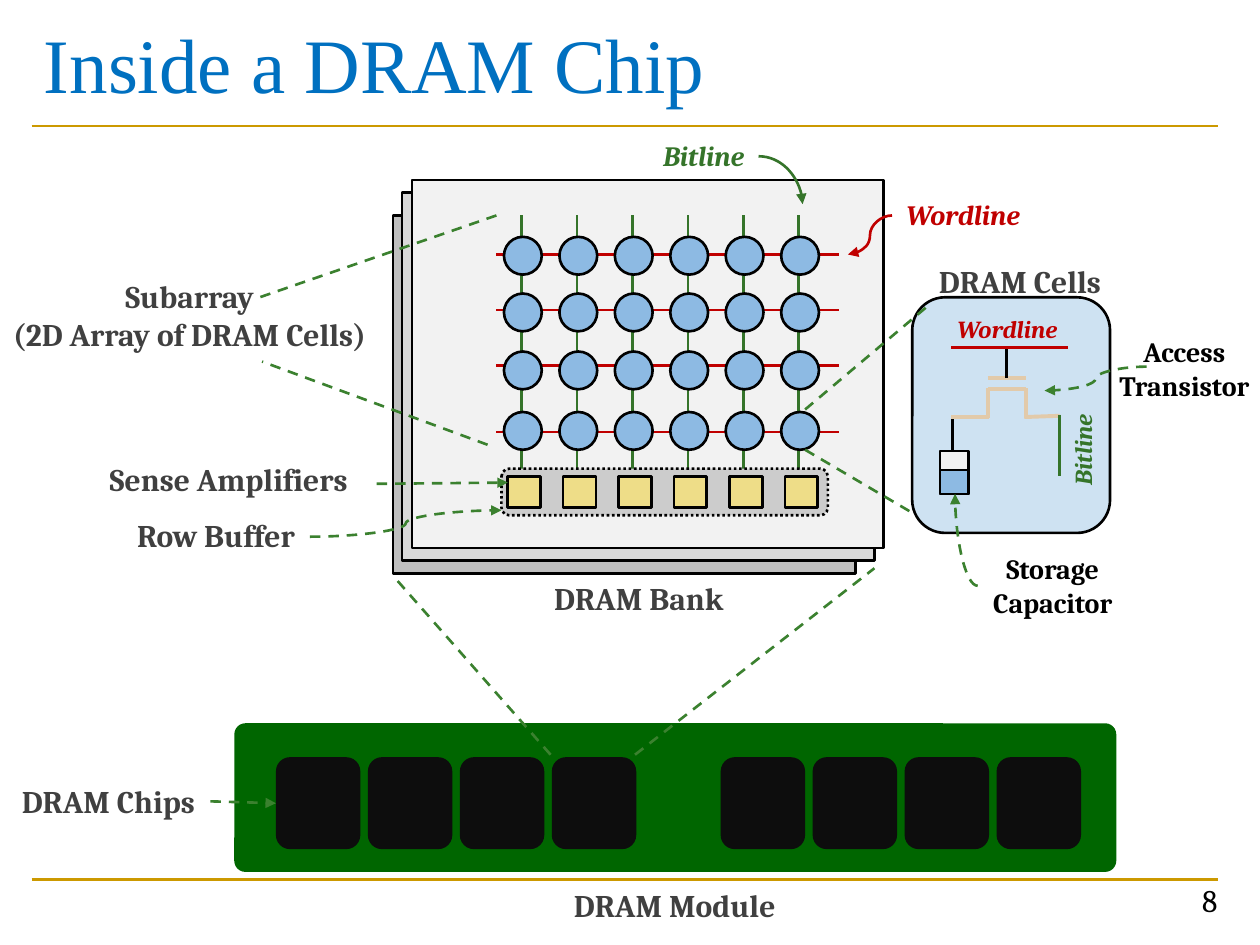
from pptx import Presentation
from pptx.dml.color import RGBColor
from pptx.enum.dml import MSO_LINE
from pptx.enum.shapes import MSO_CONNECTOR, MSO_SHAPE
from pptx.enum.text import MSO_ANCHOR, PP_ALIGN
from pptx.oxml.ns import qn
from pptx.util import Inches, Pt
from lxml.etree import SubElement

GOLD, BLUE, RED = "CC9900", "0070C0", "C00000"
GREEN, LEADER, TAN = "35742A", "3B812F", "E2CAAA"
BLACK, GRAY, PALE, CELL = "000000", "404040", "F2F2F2", "8DBAE3"
PITCH, COLUMNS = 0.44, 6


def color(hex_string):
    return RGBColor.from_string(hex_string)


def add_box(slide, kind, left, top, width, height, fill, line=None, dash=None, radius=None):
    shape = slide.shapes.add_shape(kind, Inches(left), Inches(top), Inches(width), Inches(height))
    shape.shadow.inherit = False
    shape.fill.solid()
    shape.fill.fore_color.rgb = color(fill)
    if line:
        shape.line.color.rgb = color(line)
        shape.line.width = Pt(1.5)
        shape.line.dash_style = dash
    else:
        shape.line.fill.background()
    if radius is not None:
        shape.adjustments[0] = radius
    return shape


def add_line(slide, start, end, line, width=1.5, dashed=False, arrow=False, curve=None):
    kind = MSO_CONNECTOR.CURVE if curve else MSO_CONNECTOR.STRAIGHT
    connector = slide.shapes.add_connector(kind, *map(Inches, start + end))
    connector.line.color.rgb = color(line)
    connector.line.width = Pt(width)
    if dashed:
        connector.line.dash_style = MSO_LINE.DASH
    properties = connector._element.spPr
    if curve:
        properties.find(qn("a:prstGeom")).set("prst", curve)
    if arrow:
        SubElement(properties.find(qn("a:ln")), qn("a:tailEnd"), type="triangle")
    SubElement(properties, qn("a:effectLst"))
    return connector


def add_leader(slide, start, end, arrow=False, curve=None):
    return add_line(slide, start, end, LEADER, dashed=True, arrow=arrow, curve=curve)


def add_text(slide, lines, left, top, width, height, size=18, font_color=GRAY, bold=True,
             italic=False, align=PP_ALIGN.CENTER, font="Cambria", wrap=False,
             anchor=MSO_ANCHOR.TOP, rotation=0):
    box = slide.shapes.add_textbox(Inches(left), Inches(top), Inches(width), Inches(height))
    box.rotation = rotation
    frame = box.text_frame
    frame.word_wrap = wrap
    frame.vertical_anchor = anchor
    frame.text = "\n".join(lines)
    for paragraph in frame.paragraphs:
        paragraph.alignment = align
        paragraph.font.name = font
        paragraph.font.size = Pt(size)
        paragraph.font.bold = bold
        paragraph.font.italic = italic
        paragraph.font.color.rgb = color(font_color)


def add_frame(slide):
    for y in (6.98, 1):
        add_line(slide, (0.25, y), (9.67, y), GOLD)
    add_text(slide, ["Inside a DRAM Chip"], 0.25, 0, 9.42, 0.99, 44, BLUE, bold=False,
             align=PP_ALIGN.LEFT, font="Times New Roman", wrap=True, anchor=MSO_ANCHOR.MIDDLE)
    add_text(slide, ["8"], 6.01, 6.94, 3.75, 0.4, font_color=BLACK, bold=False,
             align=PP_ALIGN.RIGHT, wrap=True)


def add_module(slide):
    add_box(slide, MSO_SHAPE.ROUNDED_RECTANGLE, 1.86, 5.74, 7, 1.18, "006600", radius=0.075)
    chips = [add_box(slide, MSO_SHAPE.ROUNDED_RECTANGLE, bank_left + 0.73 * index, 6.01,
                     0.67, 0.73, "0D0D0D")
             for bank_left in (2.19, 5.72) for index in range(4)]
    # Zoom from one chip to the bank
    add_leader(slide, (4.37, 5.99), (3.12, 4.57))
    add_leader(slide, (5.04, 5.99), (6.94, 4.51))
    add_text(slide, ["DRAM Module"], 4.43, 6.98, 1.85, 0.4)
    add_text(slide, ["DRAM Chips"], 0.05, 6.16, 1.62, 0.4)
    arrow = add_leader(slide, (1.67, 6.36), (2.19, 6.37), arrow=True)
    arrow.end_connect(chips[0], 1)


def add_bank(slide):
    # Stacked banks
    for left, top, width, height, fill in ((3.12, 1.71, 3.67, 2.84, "BFBFBF"),
                                           (3.19, 1.53, 3.75, 2.92, "D9D9D9"),
                                           (3.27, 1.43, 3.74, 2.92, PALE)):
        add_box(slide, MSO_SHAPE.RECTANGLE, left, top, width, height, fill, BLACK)
    # Bitlines, wordlines and the cells where they cross
    for column in range(COLUMNS):
        x = 4.14 + PITCH * column
        add_line(slide, (x, 1.71), (x, 4.02), GREEN)
    for y in (2.02, 2.46, 2.9, 3.43):
        add_line(slide, (3.94, y), (6.66, y), RED)
    for top in (1.88, 2.33, 2.79, 3.27):
        for column in range(COLUMNS):
            add_box(slide, MSO_SHAPE.OVAL, 4 + PITCH * column, top, 0.3, 0.3, CELL, BLACK)
    # Row buffer with its sense amplifiers
    add_box(slide, MSO_SHAPE.ROUNDED_RECTANGLE, 3.98, 3.72, 2.59, 0.37, "CCCCCC", BLACK,
            dash=MSO_LINE.ROUND_DOT)
    for column in range(COLUMNS):
        add_box(slide, MSO_SHAPE.RECTANGLE, 4.03 + PITCH * column, 3.78, 0.26, 0.25,
                "EEDD88", BLACK)
    add_text(slide, ["DRAM Bank"], 4.28, 4.55, 1.58, 0.4)


def add_bank_labels(slide):
    add_text(slide, ["Bitline"], 5.15, 1.05, 0.87, 0.37, 16, GREEN, italic=True)
    add_line(slide, (6.02, 1.24), (6.37, 1.62), GREEN, arrow=True, curve="curvedConnector2")
    add_text(slide, ["Wordline"], 7.08, 1.52, 1.13, 0.37, 16, RED, italic=True)
    add_line(slide, (7.08, 1.71), (6.73, 2.02), RED, arrow=True, curve="curvedConnector3")
    add_text(slide, ["Subarray", "(2D Array of DRAM Cells)"], -0.05, 2.15, 3.11, 0.71, wrap=True)
    add_leader(slide, (3.94, 1.71), (2.06, 2.36))
    add_leader(slide, (3.87, 3.53), (2.08, 2.87))
    add_text(slide, ["Sense Amplifiers"], 0.74, 3.6, 2.15, 0.4)
    add_leader(slide, (2.99, 3.84), (4.03, 3.83), arrow=True)
    add_text(slide, ["Row Buffer"], 0.97, 4.05, 1.49, 0.4)
    add_leader(slide, (2.46, 4.26), (3.98, 4.05), arrow=True, curve="curvedConnector3")


def add_cell_detail(slide):
    # Zoom from one cell
    add_leader(slide, (6.39, 3.25), (7.35, 2.44))
    add_leader(slide, (6.39, 3.57), (7.24, 4.07))
    add_text(slide, ["DRAM Cells"], 7.33, 2.03, 1.53, 0.4)
    # Storage capacitor
    add_line(slide, (7.56, 3.3), (7.56, 3.61), BLACK)
    add_box(slide, MSO_SHAPE.RECTANGLE, 7.46, 3.58, 0.23, 0.34, PALE, BLACK)
    add_box(slide, MSO_SHAPE.RECTANGLE, 7.46, 3.73, 0.23, 0.19, CELL, BLACK)
    # Access transistor
    for start, end in (((7.55, 3.31), (7.85, 3.31)), ((7.84, 3.09), (8.14, 3.09)),
                       ((7.84, 3.32), (7.84, 3.08)), ((8.14, 3.32), (8.14, 3.08)),
                       ((8.13, 3.31), (8.41, 3.3)), ((7.84, 3), (8.14, 3))):
        add_line(slide, start, end, TAN, 2.25)
    # Wordline and bitline of the cell
    add_line(slide, (7.99, 3), (7.99, 2.76), BLACK)
    add_line(slide, (7.55, 2.76), (8.48, 2.76), RED)
    add_text(slide, ["Wordline"], 7.49, 2.44, 1.01, 0.34, 14, RED, italic=True)
    add_line(slide, (8.41, 3.29), (8.41, 3.78), GREEN)
    add_text(slide, ["Bitline"], 8.2, 3.4, 0.79, 0.34, 14, GREEN, italic=True, rotation=270)
    # Callouts
    add_text(slide, ["Access", "Transistor"], 8.76, 2.61, 1.28, 0.64, 16, BLACK)
    add_leader(slide, (9.1, 2.91), (8.29, 3.1), arrow=True, curve="curvedConnector3")
    add_text(slide, ["Storage", "Capacitor"], 7.76, 4.33, 1.19, 0.64, 16, BLACK)
    add_leader(slide, (7.76, 4.65), (7.58, 3.92), arrow=True, curve="curvedConnector2")


def main():
    presentation = Presentation()
    presentation.slide_width, presentation.slide_height = Inches(10), Inches(7.5)
    slide = presentation.slides.add_slide(presentation.slide_layouts[6])
    add_frame(slide)
    add_box(slide, MSO_SHAPE.ROUNDED_RECTANGLE, 7.24, 2.36, 1.57, 1.87, "CEE2F2", BLACK)
    add_module(slide)
    add_bank(slide)
    add_bank_labels(slide)
    add_cell_detail(slide)
    presentation.save("out.pptx")


if __name__ == "__main__":
    main()
